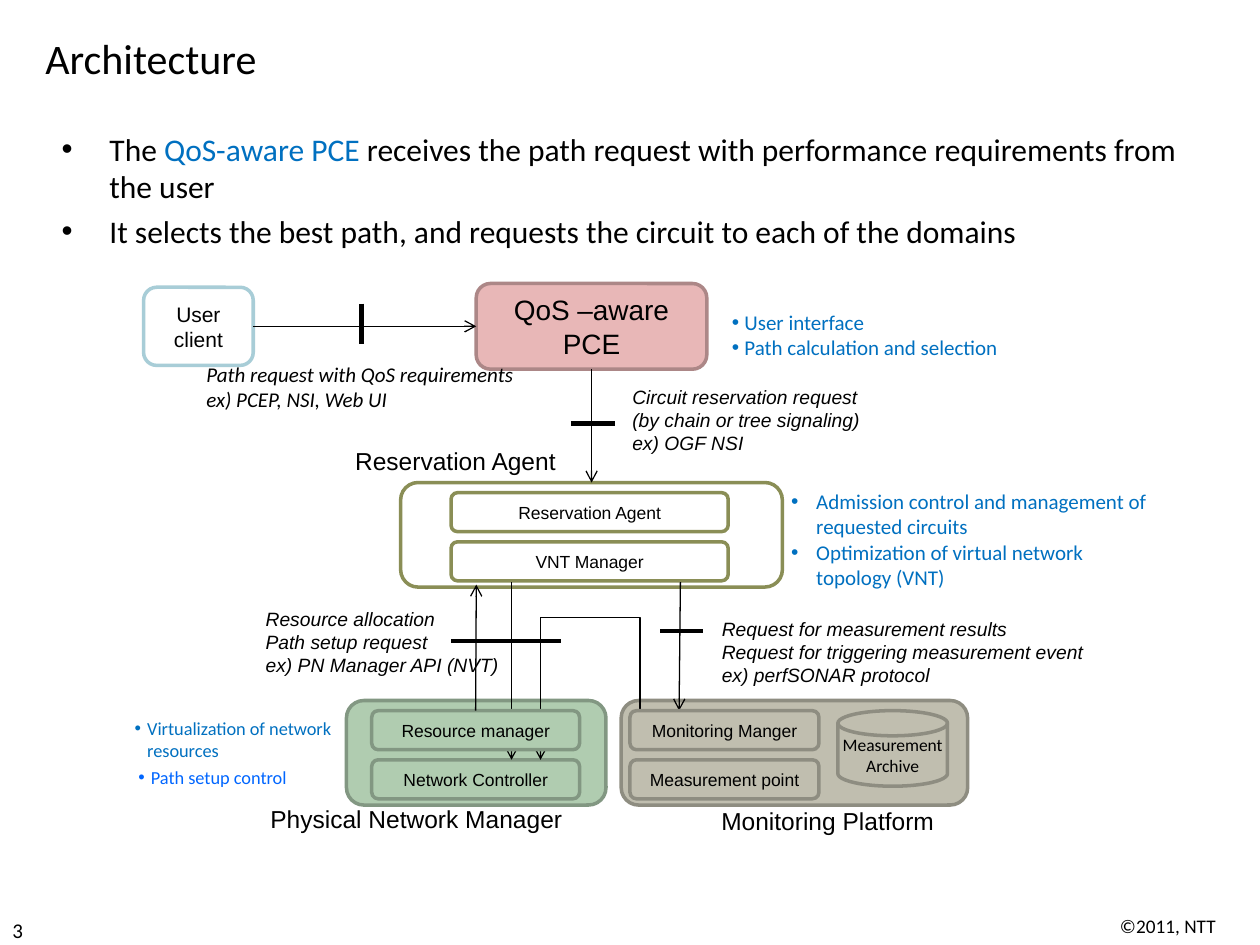
import pptx
import pptx.util
import pptx.dml.color
import pptx.enum.shapes
import pptx.enum.text
import pptx.oxml.ns
from lxml import etree

Inches, Pt = pptx.util.Inches, pptx.util.Pt
SHAPE = pptx.enum.shapes.MSO_SHAPE
CONNECTOR = pptx.enum.shapes.MSO_CONNECTOR
ALIGN = pptx.enum.text.PP_ALIGN
ANCHOR = pptx.enum.text.MSO_ANCHOR
AUTO_SIZE = pptx.enum.text.MSO_AUTO_SIZE

COLORS = {
    "black": "000000", "white": "FFFFFF", "blue": "0070C0", "bright": "0066FF",
    "green": "B0CCB0", "green_edge": "829782", "olive_edge": "8A8E56",
    "pink": "E8B7B7", "pink_edge": "AC8787", "stone": "C0BEAF",
    "stone_edge": "8E8D81", "sky_edge": "A8CDD7",
}

# Content: boxes are (text, place, fill, edge, size)
BACK_BOXES = {
    "physical": ("", (2.75, 5.56, 2.06, 0.83), "green", "green_edge", 10),
    "agent": ("", (3.18, 3.83, 3.03, 0.83), "white", "olive_edge", 10),
    "pce": ("QoS –aware PCE", (3.78, 2.25, 1.83, 0.68), "pink", "pink_edge", 16),
    "platform": ("", (4.93, 5.56, 2.75, 0.83), "stone", "stone_edge", 10),
    "client": ("User client", (1.14, 2.28, 0.87, 0.62), "white", "sky_edge", 12),
}
# Inner boxes: left, width, top of the upper one, fill, edge, upper and lower text
STACKS = [
    (3.58, 2.2, 3.91, "white", "olive_edge", "Reservation Agent", "VNT Manager"),
    (2.95, 1.65, 5.64, "green", "green_edge", "Resource manager", "Network Controller"),
    (5, 1.5, 5.64, "stone", "stone_edge", "Monitoring Manger", "Measurement point"),
]
ROW_STEP, ROW_HEIGHT = 0.39, 0.31
ARCHIVE = ("Measurement\vArchive", (6.65, 5.64, 0.87, 0.6), "stone", "stone_edge", 10)

ARROWS = [(5.4, 4.62, 5.39, 5.64), (4.06, 4.62, 4.06, 6.03)]
TICKS = [(3.58, 5.09, 4.45, 5.09), (5.24, 5.01, 5.58, 5.01),
         (4.53, 3.36, 4.88, 3.36), (2.87, 2.41, 2.87, 2.73)]

BODY = [
    [("The ", "black"), ("QoS-aware PCE ", "blue"),
     ("receives the path request with performance requirements from the user", "black")],
    [("It selects the best path, and requests the circuit to each of the domains", "black")],
]
# Notes on the protocols: place, font, size, lines
NOTES = [
    ((5.63, 4.85, 3.09, 0.84), "Arial", 11,
     ["Request for measurement results", "Request for triggering measurement event",
      "ex) perfSONAR protocol"]),
    ((2.01, 4.77, 2.06, 0.66), "Arial", 11,
     ["Resource allocation", "Path setup request", "ex) PN Manager API (NVT)"]),
    ((4.92, 3.01, 2.04, 0.66), "Arial", 11,
     ["Circuit reservation request", "(by chain or tree signaling)", "ex) OGF NSI"]),
    ((1.54, 2.82, 2.69, 0.5), "Calibri", 12,
     ["Path request with QoS requirements", "ex) PCEP, NSI, Web UI"]),
]
# Bulleted roles: place, size, colour, indent, wrap, lines
ROLES = [
    ((5.71, 2.41, 2.34, 0.5), 12, "blue", 0.1, False,
     ["User interface", "Path calculation and selection"]),
    ((6.18, 3.83, 3.07, 0.91), 12, "blue", 0.2, True,
     ["Admission control and management of requested circuits",
      "Optimization of virtual network topology (VNT)"]),
    ((1, 6.03, 1.4, 0.28), 10.5, "bright", 0.1, False, ["Path setup control"]),
    ((0.97, 5.64, 1.82, 0.45), 10.5, "blue", 0.1, True,
     ["Virtualization of network\vresources"]),
]
CAPTIONS = [
    ("Reservation Agent", (2.71, 3.49, 1.81, 0.34)),
    ("Physical Network Manager", (2.04, 6.33, 2.53, 0.34)),
    ("Monitoring Platform", (5.62, 6.35, 1.9, 0.34)),
]


def rgb(name):
    return pptx.dml.color.RGBColor.from_string(COLORS[name])


def set_font(font, color="black", **values):
    for key, value in values.items():
        setattr(font, key, value)
    font.color.rgb = rgb(color)


def add_bullet(para, indent):
    properties = para._p.get_or_add_pPr()
    properties.set("marL", str(Inches(indent)))
    properties.set("indent", str(-Inches(indent)))
    font = etree.SubElement(properties, pptx.oxml.ns.qn("a:buFont"))
    font.set("typeface", "Arial")
    etree.SubElement(properties, pptx.oxml.ns.qn("a:buChar")).set("char", "•")


def add_text(page, place, lines, wrap=False, bullet=0, align=ALIGN.LEFT, **values):
    box = page.shapes.add_textbox(*map(Inches, place))
    frame = box.text_frame
    frame.word_wrap = wrap
    frame.auto_size = AUTO_SIZE.NONE if wrap else AUTO_SIZE.SHAPE_TO_FIT_TEXT
    for index, line in enumerate(lines):
        para = frame.paragraphs[0] if index == 0 else frame.add_paragraph()
        para.alignment = align
        if bullet:
            add_bullet(para, bullet)
        para.text = line
        for span in para.runs:
            set_font(span.font, **values)
    return frame


def add_box(page, text, place, fill, edge, size, kind=SHAPE.ROUNDED_RECTANGLE, font="Arial"):
    box = page.shapes.add_shape(kind, *map(Inches, place))
    box.shadow.inherit = False
    box.fill.solid()
    box.fill.fore_color.rgb = rgb(fill)
    box.line.color.rgb = rgb(edge)
    box.line.width = Pt(2)
    if text:
        frame = box.text_frame
        frame.word_wrap = kind == SHAPE.ROUNDED_RECTANGLE
        frame.vertical_anchor = ANCHOR.MIDDLE
        para = frame.paragraphs[0]
        para.text = text
        para.alignment = ALIGN.CENTER
        for span in para.runs:
            set_font(span.font, name=font, size=Pt(size))
    return box


def add_line(page, ends, width=0.75, arrow="tailEnd", kind=CONNECTOR.STRAIGHT):
    line = page.shapes.add_connector(kind, *map(Inches, ends))
    line.line.color.rgb = rgb("black")
    line.line.width = Pt(width)
    if arrow:
        outline = line.line._get_or_add_ln()
        etree.SubElement(outline, pptx.oxml.ns.qn("a:" + arrow)).set("type", "arrow")
    etree.SubElement(line._element.spPr, pptx.oxml.ns.qn("a:effectLst"))
    return line


def main():
    deck = pptx.Presentation()
    deck.slide_width, deck.slide_height = Inches(10), Inches(7.5)
    page = deck.slides.add_slide(deck.slide_layouts[5])

    # Title
    title = page.shapes.title
    title.left, title.top, title.width, title.height = map(Inches, (0.26, 0.2, 9, 0.52))
    title.text_frame.text = "Architecture"
    title.text_frame.vertical_anchor = ANCHOR.MIDDLE
    para = title.text_frame.paragraphs[0]
    para.alignment = ALIGN.LEFT
    set_font(para.runs[0].font, name="Calibri", size=Pt(24))

    # Main points
    frame = add_text(page, (0.39, 0.98, 9.25, 1.2), [""] * len(BODY), wrap=True, bullet=0.38)
    for index, (para, spans) in enumerate(zip(frame.paragraphs, BODY)):
        para.space_before = Pt(3.6 if index else 0)
        for text, color in spans:
            span = para.add_run()
            span.text = text
            set_font(span.font, color, name="Calibri", size=Pt(18))

    # Components, with the lower inner boxes behind the lines
    boxes = {name: add_box(page, *item) for name, item in BACK_BOXES.items()}
    for left, width, top, fill, edge, _, lower in STACKS:
        add_box(page, lower, (left, top + ROW_STEP, width, ROW_HEIGHT), fill, edge, 10)
    add_box(page, *ARCHIVE, kind=SHAPE.FLOWCHART_MAGNETIC_DISK, font="Calibri")

    # Free lines and the bent feedback arrow
    for ends in ARROWS:
        add_line(page, ends)
    for ends in TICKS:
        add_line(page, ends, width=2.5, arrow=None)
    feedback = add_line(page, (4.84, 6.27, 4.53, 5.48), kind=CONNECTOR.ELBOW)
    properties = feedback._element.spPr
    properties.find(pptx.oxml.ns.qn("a:xfrm")).set("rot", str(270 * 60000))
    adjustments = next(properties.iter(pptx.oxml.ns.qn("a:avLst")))
    guide = etree.SubElement(adjustments, pptx.oxml.ns.qn("a:gd"))
    guide.set("name", "adj1")
    guide.set("fmla", "val -264600")

    # Upper inner boxes
    for left, width, top, fill, edge, upper, _ in STACKS:
        boxes[upper] = add_box(page, upper, (left, top, width, ROW_HEIGHT), fill, edge, 10)

    # Joined lines
    request = add_line(page, (2.01, 2.59, 3.78, 2.59))
    request.begin_connect(boxes["client"], 3)
    request.end_connect(boxes["pce"], 1)
    reservation = add_line(page, (4.69, 2.93, 4.69, 3.83))
    reservation.begin_connect(boxes["pce"], 2)
    reservation.end_connect(boxes["agent"], 0)
    reply = add_line(page, (3.78, 4.64, 3.78, 5.64), arrow="headEnd")
    reply.end_connect(boxes["Resource manager"], 0)

    # Notes, roles and captions
    for place, font, size, lines in NOTES:
        add_text(page, place, lines, name=font, size=Pt(size), italic=True)
    for place, size, color, indent, wrap, lines in ROLES:
        add_text(page, place, lines, wrap, indent, color=color, name="Calibri", size=Pt(size))
    for text, place in CAPTIONS:
        add_text(page, place, [text], align=ALIGN.CENTER, name="Arial", size=Pt(14))

    # Footer
    add_text(page, (0, 7.23, 0.54, 0.27), ["3"], wrap=True, name="Calibri", size=Pt(12))
    footer = add_text(page, (8.54, 7.16, 1.46, 0.34), ["©2011, NTT"], wrap=True,
                      align=ALIGN.CENTER, name="Calibri", size=Pt(11))
    footer.paragraphs[0].line_spacing = 1.25

    deck.save("out.pptx")


if __name__ == "__main__":
    main()
